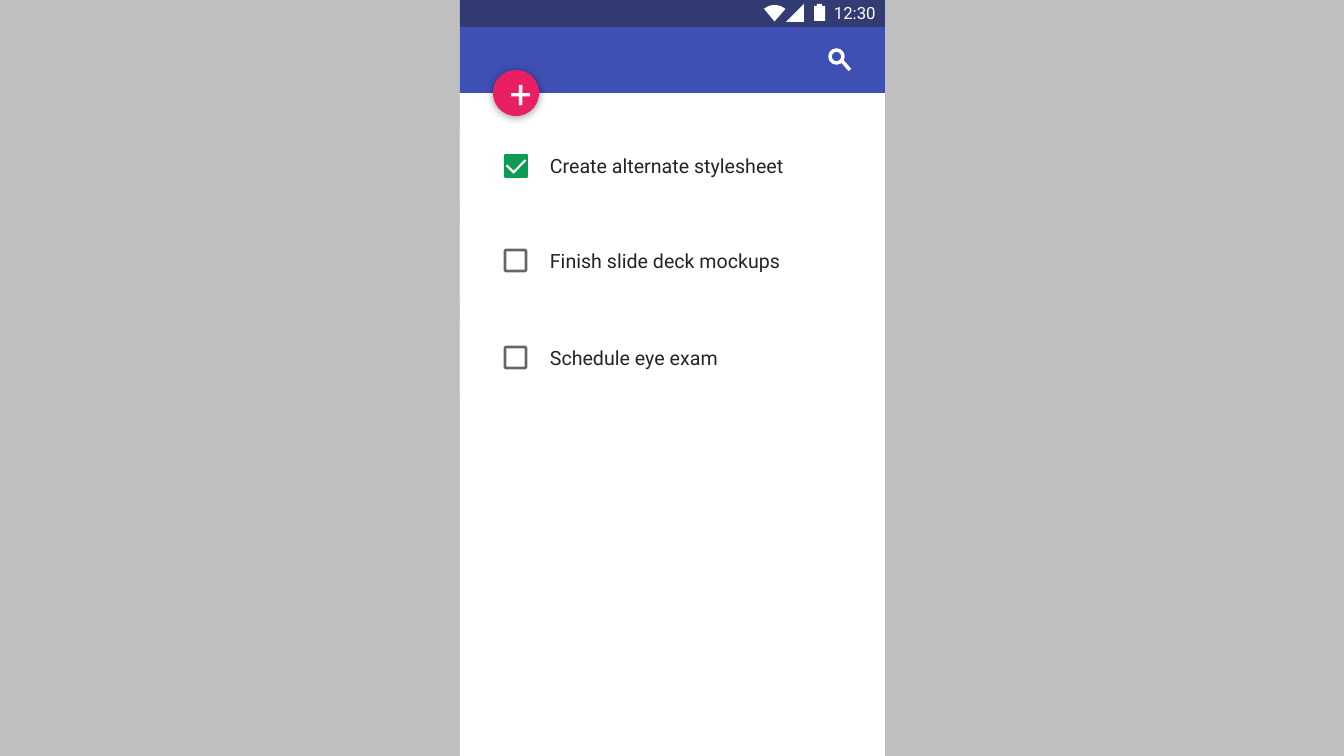
from dataclasses import dataclass
from typing import Any

from lxml import etree
from pptx import Presentation
from pptx.dml.color import RGBColor
from pptx.enum.shapes import MSO_CONNECTOR, MSO_SHAPE
from pptx.enum.text import MSO_ANCHOR, MSO_AUTO_SIZE, PP_ALIGN
from pptx.oxml.ns import qn
from pptx.util import Pt

RECTANGLE = MSO_SHAPE.RECTANGLE
ROUNDED = MSO_SHAPE.ROUNDED_RECTANGLE
OVAL = MSO_SHAPE.OVAL
CORNER = MSO_SHAPE.CORNER
PIE = MSO_SHAPE.PIE
TRIANGLE = MSO_SHAPE.RIGHT_TRIANGLE
STRAIGHT = MSO_CONNECTOR.STRAIGHT
MIDDLE = MSO_ANCHOR.MIDDLE
FIT_SHAPE = MSO_AUTO_SIZE.SHAPE_TO_FIT_TEXT
CENTER = PP_ALIGN.CENTER

EMU_PER_PIXEL = 914400 / 100.8
WIDTH, HEIGHT = 1344, 756
PHONE_LEFT, PHONE_WIDTH = 460, 425
WHITE, BLACK, INK = "FFFFFF", "000000", "242424"
GRAY, INDIGO, GREEN, PINK = "BFBFBF", "3F50B5", "0E9B56", "E91E63"


@dataclass(frozen=True)
class Box:
    left: int
    top: int
    width: int
    height: int


@dataclass(frozen=True)
class Task:
    text: str
    top: int
    text_width: int
    done: bool = False


TASKS = [
    Task("Create alternate stylesheet", 130, 256, True),
    Task("Finish slide deck mockups", 225, 263),
    Task("Schedule eye exam", 322, 190),
]
BATTERY = [(814, 6), (817, 6), (817, 4), (822, 4), (822, 6), (825, 6), (825, 21), (814, 21)]


def px(value: float) -> int:
    return round(value * EMU_PER_PIXEL)


def frame(box: Box) -> tuple[int, int, int, int]:
    return px(box.left), px(box.top), px(box.width), px(box.height)


def rgb(value: str) -> RGBColor:
    return RGBColor.from_string(value)


def set_values(target: Any, values: dict[str, Any]) -> None:
    for name, value in values.items():
        setattr(target, name, value)


def paint(fill: Any, color: str) -> None:
    fill.solid()
    fill.fore_color.rgb = rgb(color)


def set_opacity(parent: Any, percent: int) -> None:
    color = next(parent.iter(qn("a:srgbClr")))
    etree.SubElement(color, qn("a:alpha"), val=str(percent * 1000))


def add_shape(shapes: Any, kind: Any, box: Box, fill: str | None = None, line: str | None = None,
              line_width: float = 0, adjustments: tuple[float, ...] = (), rotation: float = 0) -> Any:
    shape = shapes.add_shape(kind, *frame(box))
    shape.shadow.inherit = False
    shape.rotation = rotation
    for index, value in enumerate(adjustments):
        shape.adjustments[index] = value
    if fill:
        paint(shape.fill, fill)
    else:
        shape.fill.background()
    if line:
        paint(shape.line.fill, line)
        shape.line.width = Pt(line_width)
    else:
        shape.line.fill.background()
    return shape


def write(shape: Any, text: str, size: int, color: str, **frame_values: Any) -> Any:
    set_values(shape.text_frame, frame_values)
    paragraph = shape.text_frame.paragraphs[0]
    run = paragraph.add_run()
    run.text = text
    set_values(run.font, {"name": "Roboto", "size": Pt(size)})
    run.font.color.rgb = rgb(color)
    return paragraph


def add_task(shapes: Any, task: Task) -> None:
    add_shape(shapes, RECTANGLE, Box(PHONE_LEFT, task.top, PHONE_WIDTH, 73), WHITE)
    label = shapes.add_textbox(*frame(Box(540, task.top + 19, task.text_width, 34)))
    write(label, task.text, 14, INK, word_wrap=False, auto_size=FIT_SHAPE)
    if task.done:
        add_shape(shapes, ROUNDED, Box(504, task.top + 24, 24, 24), GREEN, adjustments=(0.07,))
        add_shape(shapes, CORNER, Box(507, task.top + 28, 18, 11), WHITE,
                  adjustments=(0.19, 0.21), rotation=314)
    else:
        checkbox = add_shape(shapes, ROUNDED, Box(505, task.top + 25, 21, 21),
                             line=BLACK, line_width=2, adjustments=(0.07,))
        set_opacity(checkbox.line.fill._xPr, 60)


def add_status_bar(shapes: Any) -> None:
    bar = add_shape(shapes, RECTANGLE, Box(PHONE_LEFT, -1, PHONE_WIDTH, 28), INK)
    set_opacity(bar._element.spPr, 46)
    signal = add_shape(shapes, TRIANGLE, Box(786, 4, 18, 18), WHITE)
    signal._element.spPr.find(qn("a:xfrm")).set("flipH", "1")
    add_shape(shapes, PIE, Box(758, 5, 33, 33), WHITE,
              adjustments=(107.47, 155.82), rotation=51.4)
    builder = shapes.build_freeform(*BATTERY[0], scale=EMU_PER_PIXEL)
    builder.add_line_segments(BATTERY[1:], close=True)
    battery = builder.convert_to_shape()
    battery.shadow.inherit = False
    paint(battery.fill, WHITE)
    battery.line.fill.background()
    clock = shapes.add_textbox(*frame(Box(824, -2, 118, 30)))
    write(clock, "12:30", 12, WHITE, word_wrap=True, auto_size=FIT_SHAPE)


def add_search_icon(shapes: Any) -> None:
    add_shape(shapes, OVAL, Box(830, 50, 13, 13), line=WHITE, line_width=2.5)
    handle = shapes.add_connector(STRAIGHT, px(842), px(61), px(850), px(70))
    paint(handle.line.fill, WHITE)
    handle.line.width = Pt(2.5)
    etree.SubElement(handle._element.spPr, qn("a:effectLst"))


def add_plus_button(shapes: Any) -> None:
    button = add_shape(shapes, OVAL, Box(493, 70, 46, 46), PINK)
    effects = button._element.spPr.find(qn("a:effectLst"))
    shadow = etree.SubElement(effects, qn("a:outerShdw"), blurRad=str(Pt(6)),
                              dist=str(Pt(1)), dir="5400000", algn="t", rotWithShape="0")
    etree.SubElement(shadow, qn("a:srgbClr"), val=BLACK)
    set_opacity(shadow, 40)
    paragraph = write(button, "+", 28, WHITE, vertical_anchor=MIDDLE)
    paragraph.alignment = CENTER


presentation = Presentation()
set_values(presentation, {"slide_width": px(WIDTH), "slide_height": px(HEIGHT)})
slide = presentation.slides.add_slide(presentation.slide_layouts[6])
paint(slide.background.fill, GRAY)

add_shape(slide.shapes, RECTANGLE, Box(PHONE_LEFT, -1, PHONE_WIDTH, 758), WHITE)
add_shape(slide.shapes, RECTANGLE, Box(PHONE_LEFT, -1, PHONE_WIDTH, 94), INDIGO)
add_status_bar(slide.shapes.add_group_shape().shapes)
for task in TASKS:
    add_task(slide.shapes.add_group_shape().shapes, task)
add_search_icon(slide.shapes.add_group_shape().shapes)
add_plus_button(slide.shapes)

presentation.save("out.pptx")
